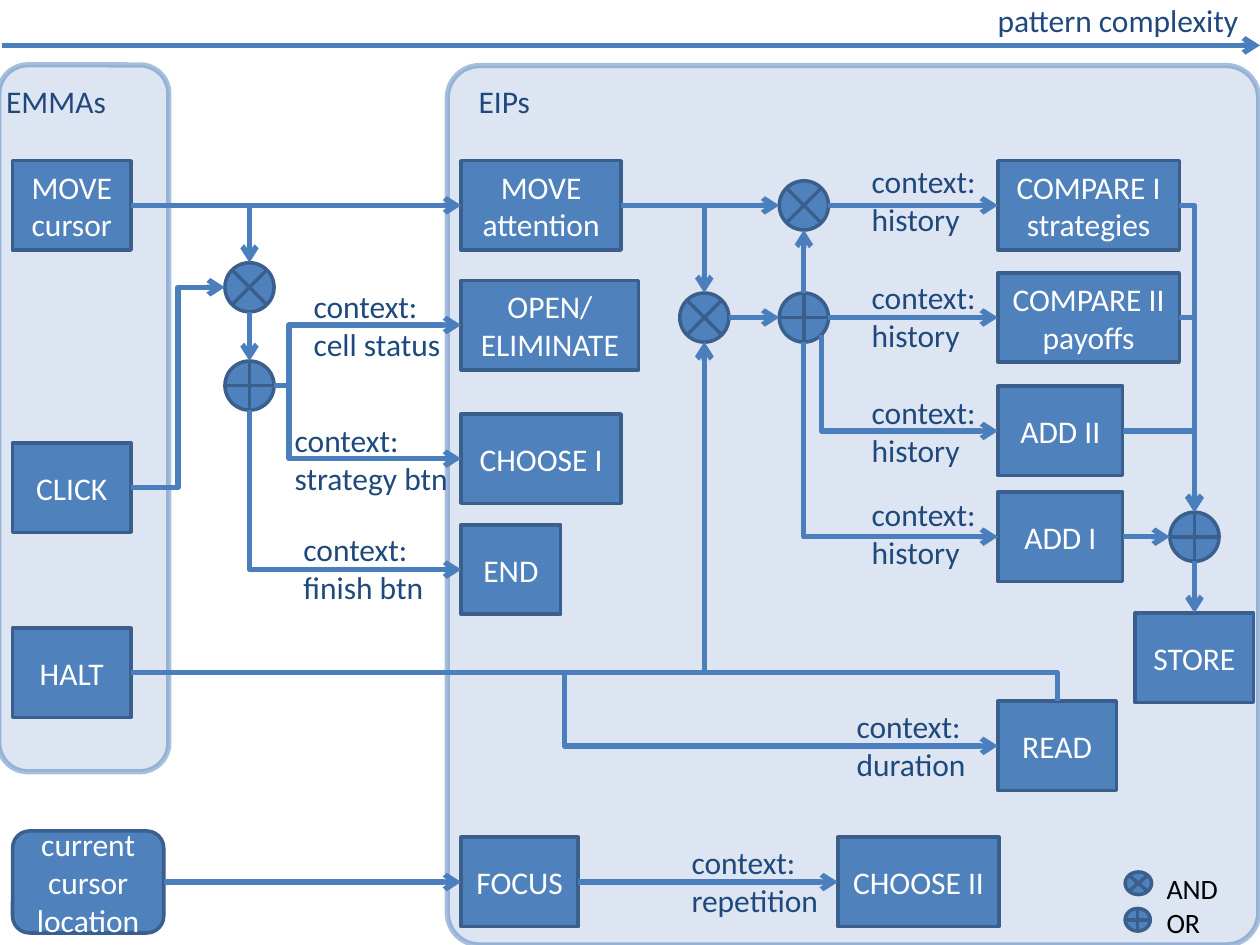
from dataclasses import dataclass
from enum import IntEnum
from typing import NamedTuple

from lxml import etree
from pptx import Presentation
from pptx.dml.color import RGBColor
from pptx.enum.shapes import MSO_CONNECTOR, MSO_SHAPE
from pptx.enum.text import MSO_ANCHOR, PP_ALIGN
from pptx.oxml.ns import qn
from pptx.util import Inches, Pt

RECT, ROUNDED = MSO_SHAPE.RECTANGLE, MSO_SHAPE.ROUNDED_RECTANGLE
AND, OR = MSO_SHAPE.FLOWCHART_SUMMING_JUNCTION, MSO_SHAPE.FLOWCHART_OR
STRAIGHT, ELBOW = MSO_CONNECTOR.STRAIGHT, MSO_CONNECTOR.ELBOW
LEFT_ALIGN, CENTER = PP_ALIGN.LEFT, PP_ALIGN.CENTER
TOP_ANCHOR, MIDDLE = MSO_ANCHOR.TOP, MSO_ANCHOR.MIDDLE


@dataclass(frozen=True)
class Theme:
    font: str = "Calibri"
    body: int = 18
    legend: int = 16
    fill: str = "4F81BD"
    outline: str = "3A5F8C"
    arrow: str = "4B7EBC"
    panel: str = "95B3D7"
    on_fill: str = "FFFFFF"
    label: str = "1F497D"
    black: str = "000000"
    thin: float = 2
    thick: float = 3


THEME = Theme()


class Site(IntEnum):
    TOP = 0
    LEFT = 1
    BOTTOM = 2
    RIGHT = 3
    LOWER_RIGHT = 4


TOP, LEFT, BOTTOM, RIGHT, LOWER_RIGHT = Site
SHARES = {TOP: (0.5, 0), LEFT: (0, 0.5), BOTTOM: (0.5, 1), RIGHT: (1, 0.5), LOWER_RIGHT: (0.85, 0.85)}

# Grid: left edges of box columns, centres of junction columns, centres of rows
EMMA, EIP, OUTPUT = 0.1, 3.66, 7.92
CLICK_X, READ_X, HISTORY_X, STORE_X = 1.98, 5.59, 6.38, 9.48
MOVE, HISTORY, OPEN, ADD_TWO, CHOOSE = 1.63, 2.52, 2.58, 3.42, 3.64
ADD_ONE, END, HALT, READ, FOCUS = 4.26, 4.52, 5.34, 5.92, 7.0
BOX_HEIGHT, BOX_WIDTH, JUNCTION = 0.71, 0.94, 0.39


class Node(NamedTuple):
    text: str
    left: float
    middle: float
    width: float = BOX_WIDTH
    height: float = BOX_HEIGHT
    kind: int = RECT

    def site(self, site: Site) -> tuple[float, float]:
        across, down = SHARES[site]
        return (self.left + across * self.width,
                self.middle + (down - 0.5) * self.height)


def junction(kind: int, center: float, middle: float) -> Node:
    return Node("", center - JUNCTION / 2, middle, JUNCTION, JUNCTION, kind)


class Link(NamedTuple):
    """bend: None is straight, CORNER is one turn, a share is where the middle leg lies."""
    start: str
    start_site: Site
    end: str
    end_site: Site
    bend: float | None = None


class Label(NamedTuple):
    text: str
    left: float
    top: float
    width: float
    height: float = BOX_HEIGHT
    size: int = THEME.body
    color: str = THEME.label


CORNER = -1
NODES = {
    "move cursor": Node("MOVE cursor", EMMA, MOVE),
    "click": Node("CLICK", EMMA, 3.87),
    "halt": Node("HALT", EMMA, HALT),
    "location": Node("current cursor location", EMMA, FOCUS, 1.2, 0.81, ROUNDED),
    "move attention": Node("MOVE attention", EIP, MOVE, 1.27),
    "open": Node("OPEN/ ELIMINATE", EIP, OPEN, 1.41),
    "choose one": Node("CHOOSE I", EIP, CHOOSE, 1.27),
    "end": Node("END", EIP, END, 0.79),
    "focus": Node("FOCUS", EIP, FOCUS, 0.93),
    "choose two": Node("CHOOSE II", 6.65, FOCUS, 1.28),
    "compare one": Node("COMPARE I strategies", OUTPUT, MOVE, 1.44),
    "compare two": Node("COMPARE II payoffs", OUTPUT, HISTORY, 1.44),
    "add two": Node("ADD II", OUTPUT, ADD_TWO, 0.99),
    "add one": Node("ADD I", OUTPUT, ADD_ONE, 0.99),
    "read": Node("READ", OUTPUT, READ),
    "store": Node("STORE", STORE_X - BOX_WIDTH / 2, 5.22),
    "click and": junction(AND, CLICK_X, 2.28),
    "click or": junction(OR, CLICK_X, 3.06),
    "read and": junction(AND, READ_X, HISTORY),
    "history or": junction(OR, HISTORY_X, HISTORY),
    "strategy and": junction(AND, HISTORY_X, MOVE),
    "store or": junction(OR, STORE_X, ADD_ONE),
    "legend and": Node("", 8.93, 7.01, 0.21, 0.18, AND),
    "legend or": Node("", 8.93, 7.3, 0.2, 0.18, OR),
}
LINKS = [
    Link("move cursor", RIGHT, "move attention", LEFT),
    Link("move cursor", RIGHT, "click and", TOP, CORNER),
    Link("click", RIGHT, "click and", LEFT, 0.5),
    Link("click and", BOTTOM, "click or", TOP),
    Link("click or", RIGHT, "open", LEFT, 0.08),
    Link("click or", RIGHT, "choose one", LEFT, 0.08),
    Link("click or", BOTTOM, "end", LEFT, CORNER),
    Link("location", RIGHT, "focus", LEFT),
    Link("focus", RIGHT, "choose two", LEFT),
    Link("halt", RIGHT, "read", LEFT, 0.5),
    Link("halt", RIGHT, "read and", BOTTOM, CORNER),
    Link("read", TOP, "read and", BOTTOM, 0.08),
    Link("move attention", RIGHT, "read and", TOP, CORNER),
    Link("move attention", RIGHT, "strategy and", LEFT),
    Link("read and", RIGHT, "history or", LEFT),
    Link("history or", TOP, "strategy and", BOTTOM),
    Link("strategy and", RIGHT, "compare one", LEFT),
    Link("history or", RIGHT, "compare two", LEFT),
    Link("history or", LOWER_RIGHT, "add two", LEFT, CORNER),
    Link("history or", BOTTOM, "add one", LEFT, CORNER),
    Link("add one", RIGHT, "store or", LEFT),
    *(Link(name, RIGHT, "store or", TOP, CORNER)
      for name in ("add two", "compare two", "compare one")),
    Link("store or", BOTTOM, "store", TOP),
]
LABELS = [
    Label("pattern complexity", 7.82, -0.04, 2.13, 0.4),
    Label("EMMAs", -0.05, 0.6, 1.48, 0.4),
    Label("EIPs", 3.7, 0.6, 1.48, 0.4),
    Label("context: cell status", 2.39, 2.23, 1.26),
    Label("context: \vstrategy btn", 2.24, 3.29, 1.56),
    Label("context: \vfinish btn", 2.31, 4.16, 1.3),
    Label("context: repetition", 5.39, 6.64, 1.26),
    Label("context:\nduration", 6.7, 5.56, 1.18),
    *(Label("context: history", 6.82, top, 1.1) for top in (1.24, 2.16, 3.07, 3.88)),
    Label("AND\nOR", 9.16, 6.87, 0.79, 0.64, THEME.legend, THEME.black),
]


def write(shape, text: str, *, size=THEME.body, color=THEME.on_fill, align=CENTER, anchor=MIDDLE):
    frame = shape.text_frame
    frame.word_wrap = True
    frame.vertical_anchor = anchor
    frame.text = text
    for paragraph in frame.paragraphs:
        paragraph.alignment = align
        for run in paragraph.runs:
            run.font.name, run.font.size = THEME.font, Pt(size)
            run.font.color.rgb = RGBColor.from_string(color)


def set_alpha(color_parent, percent: int):
    color = next(color_parent.iter(qn("a:srgbClr")))
    etree.SubElement(color, qn("a:alpha")).set("val", str(percent * 1000))


def add_node(slide, node: Node, fill=THEME.fill, outline=THEME.outline, width=THEME.thin):
    left, top = node.left, node.middle - node.height / 2
    shape = slide.shapes.add_shape(node.kind, *map(Inches, (left, top, node.width, node.height)))
    shape.shadow.inherit = False
    shape.fill.solid()
    shape.fill.fore_color.rgb = RGBColor.from_string(fill)
    shape.line.color.rgb = RGBColor.from_string(outline)
    shape.line.width = Pt(width)
    if node.text:
        write(shape, node.text)
    return shape


def add_panel(slide, panel: Node, corner: float):
    shape = add_node(slide, panel, THEME.panel, THEME.fill, THEME.thick)
    shape.adjustments[0] = corner
    properties = shape._element.spPr
    set_alpha(properties.find(qn("a:solidFill")), 33)
    set_alpha(properties.find(qn("a:ln")), 49)


def add_arrow(slide, start, end, kind=STRAIGHT):
    connector = slide.shapes.add_connector(kind, *map(Inches, (*start, *end)))
    connector.line.color.rgb = RGBColor.from_string(THEME.arrow)
    connector.line.width = Pt(THEME.thick)
    etree.SubElement(connector.line._get_or_add_ln(), qn("a:tailEnd")).set("type", "arrow")
    etree.SubElement(connector._element.spPr, qn("a:effectLst"))
    return connector


def add_elbow(slide, start, end, vertical_first: bool, bend: float):
    """Lay the preset elbow in its frame, turned a quarter when it leaves vertically."""
    (x1, y1), (x2, y2) = start, end
    across, down = x2 - x1, y2 - y1
    width, height = abs(across), abs(down)
    flip_h, flip_v = across < 0, down < 0
    if vertical_first:
        width, height = height, width
        flip_h, flip_v = down > 0, across < 0
    left, top = (x1 + x2 - width) / 2, (y1 + y2 - height) / 2
    connector = add_arrow(slide, (left, top), (left + width, top + height), ELBOW)
    frame = connector._element.spPr.find(qn("a:xfrm"))
    for name, active, value in (("rot", vertical_first, "16200000"),
                                ("flipH", flip_h, "1"), ("flipV", flip_v, "1")):
        if active:
            frame.set(name, value)
    geometry = connector._element.spPr.find(qn("a:prstGeom"))
    if bend == CORNER:
        geometry.set("prst", "bentConnector2")
    else:
        guide = etree.SubElement(geometry.find(qn("a:avLst")), qn("a:gd"))
        guide.set("name", "adj1")
        guide.set("fmla", f"val {round(bend * 100000)}")


def add_link(slide, link: Link, shapes: dict):
    first, last = NODES[link.start], NODES[link.end]
    start, end = first.site(link.start_site), last.site(link.end_site)
    if link.bend is not None:
        vertical_first = link.start_site in (TOP, BOTTOM, LOWER_RIGHT)
        add_elbow(slide, start, end, vertical_first, link.bend)
        return
    connector = add_arrow(slide, start, end)
    if first.kind in (RECT, ROUNDED):
        connector.begin_connect(shapes[link.start], int(link.start_site))
    if last.kind in (RECT, ROUNDED):
        connector.end_connect(shapes[link.end], int(link.end_site))


def main():
    presentation = Presentation()
    presentation.slide_width, presentation.slide_height = Inches(10), Inches(7.5)
    slide = presentation.slides.add_slide(presentation.slide_layouts[6])
    add_panel(slide, Node("", -0.01, 3.32, 1.35, 5.61, ROUNDED), 0.17)
    add_panel(slide, Node("", 3.55, 4.01, 6.44, 6.98, ROUNDED), 0.04)
    shapes = {name: add_node(slide, node) for name, node in NODES.items()}
    add_arrow(slide, (0.02, 0.36), (10, 0.36))
    for link in LINKS:
        add_link(slide, link, shapes)
    for label in LABELS:
        box = slide.shapes.add_textbox(*map(Inches, label[1:5]))
        write(box, label.text, size=label.size, color=label.color, align=LEFT_ALIGN, anchor=TOP_ANCHOR)
    presentation.save("out.pptx")


if __name__ == "__main__":
    main()
